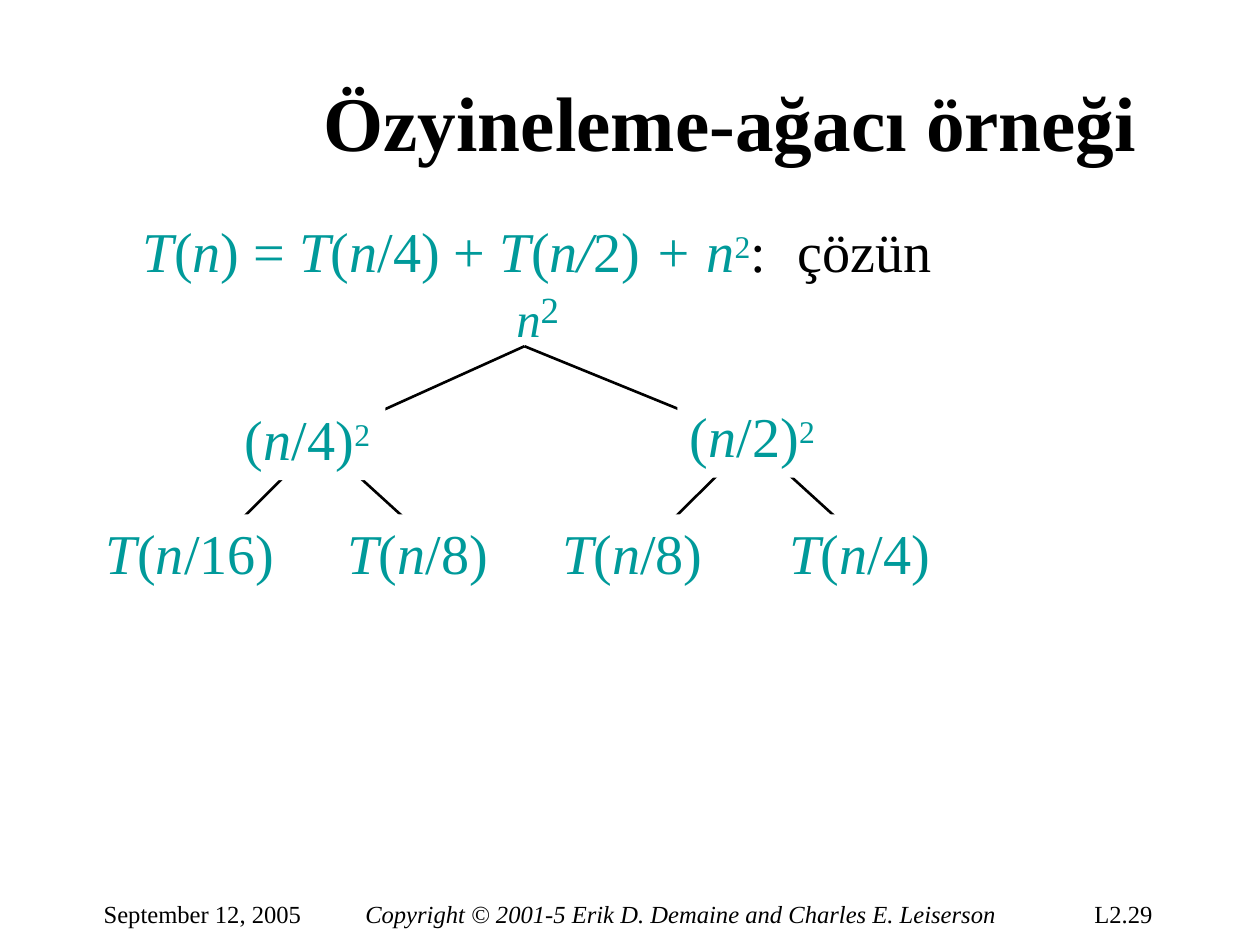
from lxml.etree import SubElement
from pptx import Presentation
from pptx.dml.color import RGBColor
from pptx.enum.shapes import MSO_CONNECTOR as LINE, MSO_SHAPE as SHAPE
from pptx.enum.text import MSO_ANCHOR as ANCHOR, PP_ALIGN as ALIGN
from pptx.oxml.ns import qn
from pptx.util import Inches, Pt

TEAL, BLACK, WHITE = "009A9A", "000000", "FFFFFF"


def color(value):
    return RGBColor.from_string(value)


def add_text(paragraph, text, size, ink, baseline=0, **formats):
    """Add runs; text between underscores is italic."""
    for i, piece in enumerate(text.split("_")):
        if not piece:
            continue
        run = paragraph.add_run()
        run.text = piece
        values = {"name": "Times New Roman", "size": Pt(size), "italic": i % 2 == 1, **formats}
        for key, value in values.items():
            setattr(run.font, key, value)
        run.font.color.rgb = color(ink)
        if baseline:
            run.font._element.set("baseline", str(baseline * 1000))


deck = Presentation()
deck.slide_width, deck.slide_height = Inches(9.97), Inches(7.47)
slide = deck.slides.add_slide(deck.slide_layouts[6])
shapes = slide.shapes

# Title, formula with tree root, and footer frames
frames = []
for left, top, width, height in [
    (1.67, 0.59, 8.22, 0.71),
    (1.13, 1.71, 6.25, 1.19),
    (0.82, 7.11, 1.59, 0.25),
    (2.89, 7.11, 5.01, 0.25),
    (8.66, 7.11, 0.5, 0.25),
]:
    frame = shapes.add_textbox(Inches(left), Inches(top), Inches(width), Inches(height)).text_frame
    frame.margin_left = frame.margin_top = frame.margin_right = frame.margin_bottom = 0
    frame.word_wrap = True
    frames.append(frame)
title, recurrence, *footers = frames

heading = title.paragraphs[0]
heading.alignment = ALIGN.CENTER
heading.line_spacing = Pt(52.6)
add_text(heading, "Özyineleme-ağacı örneği", 44, BLACK, bold=True)

# Recurrence, with a tab before the task
formula = recurrence.paragraphs[0]
tabs = SubElement(formula._p.get_or_add_pPr(), qn("a:tabLst"))
SubElement(tabs, qn("a:tab"), pos=str(Inches(5.18)), algn="l")
add_text(formula, "_T_(_n_) = _T_(_n_/4) + _T_(_n/_2) _+ n_", 32, TEAL)
add_text(formula, "2", 31, TEAL, baseline=26)
add_text(formula, ":\tçözün", 32, BLACK)

# Root of the tree
root = recurrence.add_paragraph()
root.alignment = ALIGN.CENTER
root.line_spacing = Pt(36.5)
add_text(root, "_n_", 48, TEAL, baseline=-17)
add_text(root, "2", 21, TEAL)

# Branches, from each parent to its two children
for x, y, children in [
    (4.15, 2.74, [(2.49, 3.49), (5.99, 3.49)]),
    (2.53, 3.49, [(1.62, 4.4), (3.53, 4.4)]),
    (5.95, 3.49, [(5.03, 4.4), (6.95, 4.4)]),
]:
    for child_x, child_y in children:
        branch = shapes.add_connector(
            LINE.STRAIGHT, Inches(x), Inches(y), Inches(child_x), Inches(child_y))
        branch.line.color.rgb = color(BLACK)
        branch.line.width = Pt(1.5)
        SubElement(branch._element.spPr, qn("a:effectLst"))

# Nodes on white boxes that cover the branch ends
for left, top, width, label, power in [
    (1.84, 3.17, 1.21, "(_n_/4)", "2"),
    (5.36, 3.15, 1.21, "(_n_/2)", "2"),
    (0.74, 4.07, 1.53, "_T_(_n_/16)", ""),
    (2.65, 4.07, 1.31, "_T_(_n_/8)", ""),
    (4.35, 4.07, 1.31, "_T_(_n_/8)", ""),
    (6.15, 4.07, 1.31, "_T_(_n_/4)", ""),
]:
    node = shapes.add_shape(
        SHAPE.RECTANGLE, Inches(left), Inches(top), Inches(width), Inches(0.63))
    node.shadow.inherit = False
    node.fill.solid()
    node.fill.fore_color.rgb = color(WHITE)
    node.line.fill.background()
    frame = node.text_frame
    frame.margin_left, frame.margin_top = Inches(0.1), Inches(0.03)
    frame.margin_right = frame.margin_bottom = 0
    frame.vertical_anchor = ANCHOR.TOP
    frame.word_wrap = False
    term = frame.paragraphs[0]
    term.alignment = ALIGN.LEFT
    add_text(term, label, 32, TEAL)
    add_text(term, power, 31, TEAL, baseline=26)

# Footer
for footer, text in zip(footers, [
    "September 12, 2005",
    "_Copyright © 2001-5 Erik D. Demaine and Charles E. Leiserson_",
    "L2.29",
]):
    footer.word_wrap = False
    add_text(footer.paragraphs[0], text, 14, BLACK)

deck.save("out.pptx")
